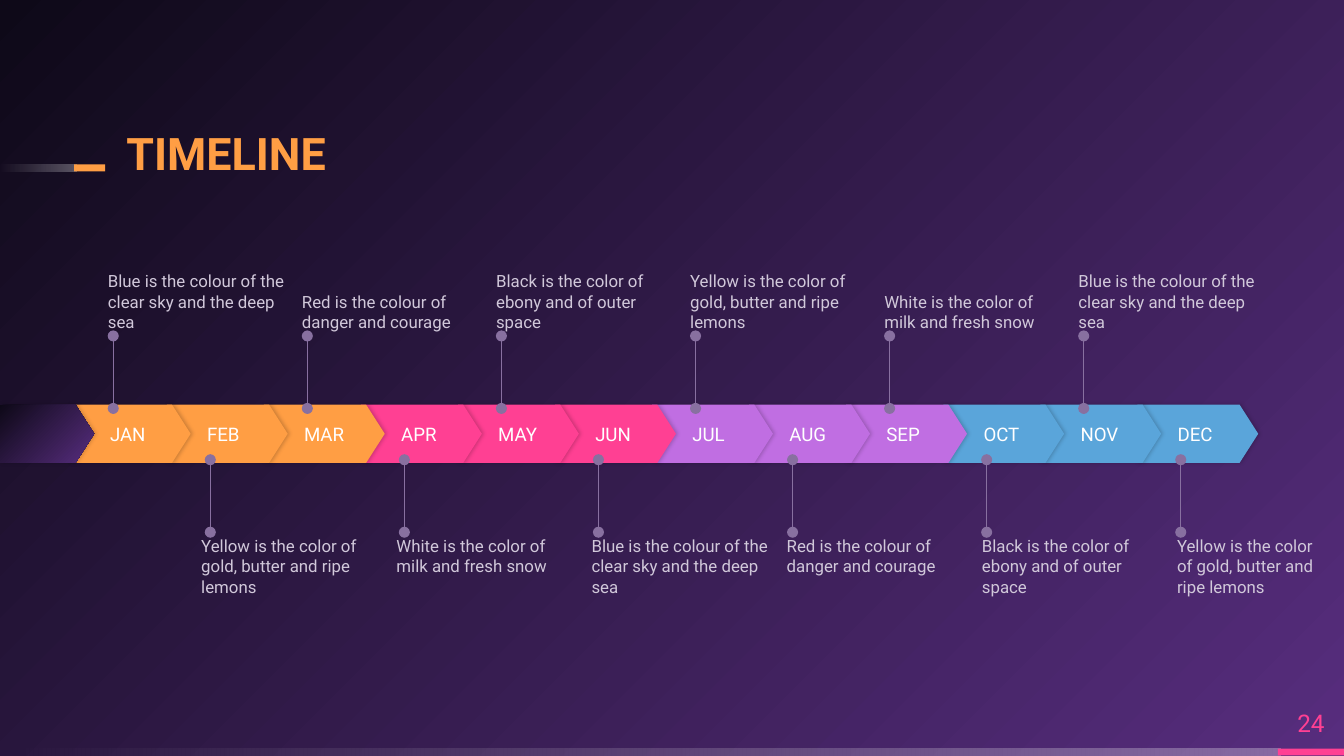
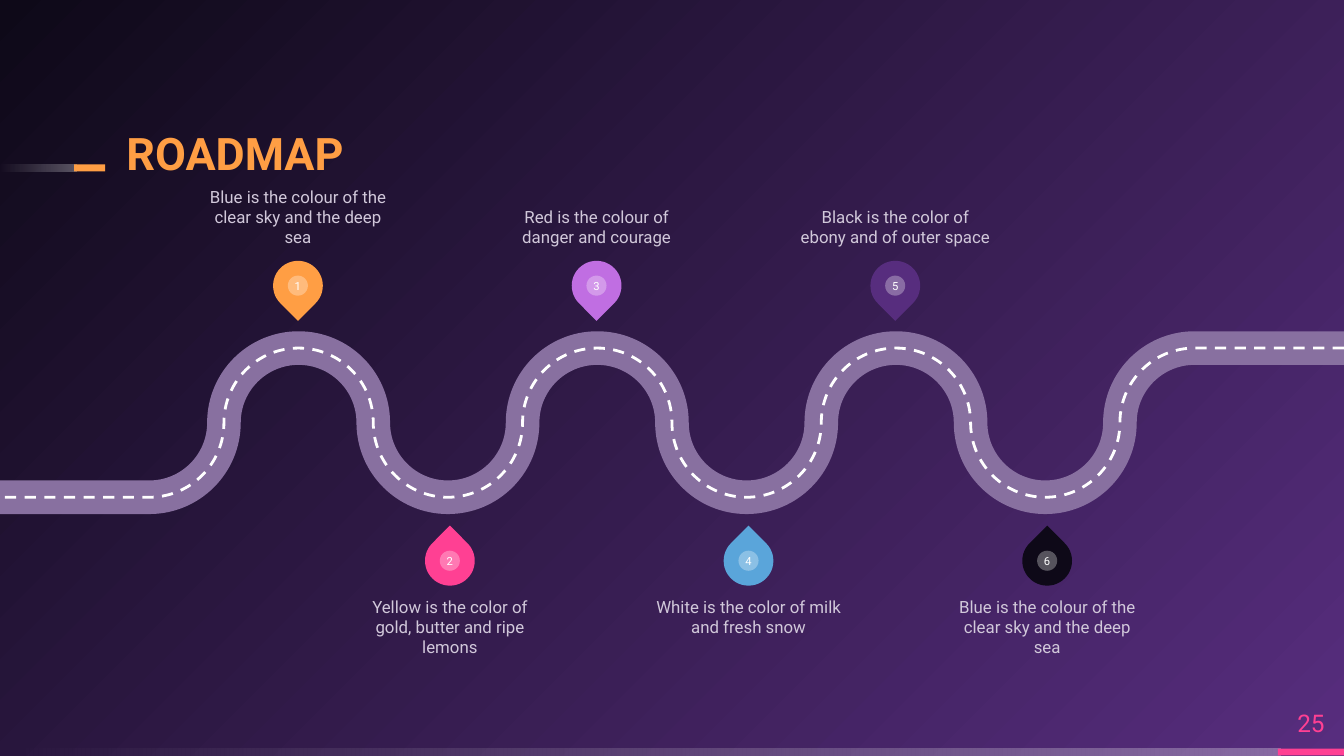
from math import cos, pi
from typing import NamedTuple

from lxml.etree import SubElement
from pptx import Presentation
from pptx.dml.color import RGBColor
from pptx.enum.dml import MSO_LINE
from pptx.enum.shapes import MSO_CONNECTOR, MSO_SHAPE
from pptx.enum.text import MSO_ANCHOR, MSO_AUTO_SIZE, PP_ALIGN
from pptx.oxml.ns import qn
from pptx.util import Cm, Pt

FONT = "Roboto"
PURPLE = RGBColor(0x57, 0x2D, 0x7E)
NIGHT = RGBColor(0x0E, 0x09, 0x18)
ORANGE = RGBColor(0xFF, 0x9E, 0x44)
PINK = RGBColor(0xFF, 0x40, 0x93)
VIOLET = RGBColor(0xC0, 0x6E, 0xE2)
BLUE = RGBColor(0x5A, 0xA5, 0xDA)
MAUVE = RGBColor(0x88, 0x70, 0xA0)
PALE = RGBColor(0xD1, 0xC8, 0xDA)
WHITE = RGBColor(0xFF, 0xFF, 0xFF)

SKY = "Blue is the colour of the clear sky and the deep sea"
GOLD = "Yellow is the color of gold, butter and ripe lemons"
DANGER = "Red is the colour of danger and courage"
MILK = "White is the color of milk and fresh snow"
EBONY = "Black is the color of ebony and of outer space"

MONTHS = "JAN FEB MAR APR MAY JUN JUL AUG SEP OCT NOV DEC".split()
MONTH_NOTES = [SKY, GOLD, DANGER, MILK, EBONY, SKY, GOLD, DANGER, MILK, EBONY, SKY, GOLD]
QUARTERS = [ORANGE, PINK, VIOLET, BLUE]
STOPS = [(ORANGE, SKY), (PINK, GOLD), (VIOLET, DANGER),
         (BLUE, MILK), (PURPLE, EBONY), (NIGHT, SKY)]


class Box(NamedTuple):
    """A rectangle measured in centimetres."""
    left: float
    top: float
    width: float
    height: float

    def emu(self):
        """Return the four lengths for python-pptx."""
        return [Cm(v) for v in self]


def set_alpha(sp, *percents):
    """Set the opacity of each colour of a shape's fill in turn."""
    for clr, percent in zip(sp._element.spPr.iter(qn("a:srgbClr")), percents):
        SubElement(clr, qn("a:alpha"), val=str(percent * 1000))


def fill_gradient(fill, start, end, angle=0):
    """Apply a two-colour linear gradient."""
    fill.gradient()
    fill.gradient_angle = angle
    for stop, color in zip(fill.gradient_stops, (start, end)):
        stop.color.rgb = color


def add_block(shapes, kind, box, color=None):
    """Add a preset shape without outline or shadow."""
    sp = shapes.add_shape(kind, *box.emu())
    sp.shadow.inherit = False
    sp.line.fill.background()
    if color is not None:
        sp.fill.solid()
        sp.fill.fore_color.rgb = color
    return sp


def write(sp, text, size, color, align=PP_ALIGN.LEFT, anchor=MSO_ANCHOR.MIDDLE, inset=0):
    """Put one formatted run into a shape and return its paragraph."""
    tf = sp.text_frame
    tf.word_wrap = True
    tf.auto_size = MSO_AUTO_SIZE.NONE
    tf.vertical_anchor = anchor
    tf.margin_left = Cm(inset)
    tf.margin_top = tf.margin_right = tf.margin_bottom = 0
    p = tf.paragraphs[0]
    p.alignment = align
    r = p.add_run()
    r.text = text
    r.font.name = FONT
    r.font.size = Pt(size)
    r.font.color.rgb = color
    return p


def add_note(slide, box, text, above, align=PP_ALIGN.LEFT):
    """Add a short note that hugs the side facing its marker."""
    anchor = MSO_ANCHOR.BOTTOM if above else MSO_ANCHOR.TOP
    write(slide.shapes.add_textbox(*box.emu()), text, 9, PALE, align, anchor)


def set_background(master):
    """Give every slide the radial night-to-purple background."""
    fill_gradient(master.background.fill, PURPLE, NIGHT)
    grad = master.element.find(".//" + qn("a:gradFill"))
    grad.remove(grad.find(qn("a:lin")))
    radial = SubElement(grad, qn("a:path"), path="circle")
    SubElement(radial, qn("a:fillToRect"), l="100000", t="100000")


def add_rule(slide, box, tip, color):
    """Draw a fading bar that ends in a solid tip."""
    fade = add_block(slide.shapes, MSO_SHAPE.RECTANGLE, box)
    fill_gradient(fade.fill, WHITE, WHITE, 180)
    set_alpha(fade, 30, 0)
    tip_box = box._replace(left=box.left + box.width - 0.05, width=tip)
    add_block(slide.shapes, MSO_SHAPE.RECTANGLE, tip_box, color)


def add_base(prs, title, number):
    """Add a titled slide with its rules and page number."""
    slide = prs.slides.add_slide(prs.slide_layouts[5])
    add_rule(slide, Box(0, 14.15, 24.2, 0.13), 1.25, PINK)
    add_rule(slide, Box(0, 3.11, 1.45, 0.13), 0.59, ORANGE)
    sp = slide.shapes.title
    sp.left, sp.top, sp.width, sp.height = Box(2.39, 2.31, 14.73, 1.09).emu()
    p = write(sp, title, 24, ORANGE, anchor=MSO_ANCHOR.BOTTOM)
    p.line_spacing = 0.9
    p.runs[0].font.bold = True
    page = slide.shapes.add_textbox(*Box(24.15, 13.18, 1.25, 0.97).emu())
    write(page, str(number), 13, PINK, PP_ALIGN.CENTER)
    return slide


def add_flag(slide, box, color=None):
    """Add a pointed band segment with a soft shadow."""
    sp = add_block(slide.shapes, MSO_SHAPE.PENTAGON, box, color)
    sp.adjustments[0] = 0.32
    effects = sp._element.spPr.find(qn("a:effectLst"))
    shadow = SubElement(effects, qn("a:outerShdw"), blurRad=str(Pt(2.2)), dist=str(Pt(0.8)),
                        dir="0", algn="l", rotWithShape="0")
    clr = SubElement(shadow, qn("a:srgbClr"), val="000000")
    SubElement(clr, qn("a:alpha"), val="20000")
    return sp


def add_pointer(slide, x, start, end):
    """Draw a vertical line with a dot at each end."""
    line = slide.shapes.add_connector(MSO_CONNECTOR.STRAIGHT, Cm(x), Cm(start), Cm(x), Cm(end))
    line.line.color.rgb = MAUVE
    line.line.width = Pt(0.75)
    ln = line.line._get_or_add_ln()
    for tag in ("a:headEnd", "a:tailEnd"):
        SubElement(ln, qn(tag), type="oval")
    SubElement(line._element.spPr, qn("a:effectLst"))


def add_months(slide, box):
    """Lay out the month band, last segment first so that each overlaps the next."""
    overlap = 0.45
    pitch = (box.width - overlap) / len(MONTHS)
    for i in reversed(range(len(MONTHS))):
        flag = Box(box.left + i * pitch, box.top, pitch + overlap, box.height)
        sp = add_flag(slide, flag, QUARTERS[i // 3])
        write(sp, MONTHS[i], 10, WHITE, inset=0.76)
    lead = add_flag(slide, Box(0, box.top, box.left + 0.46, box.height))
    fill_gradient(lead.fill, NIGHT, PURPLE, 315)
    for i, text in enumerate(MONTH_NOTES):
        x = box.left + 0.82 + i * pitch
        above = i % 2 == 0
        if above:
            add_pointer(slide, x, box.top + 0.07, box.top - 1.3)
            note = Box(x - 0.1, box.top - 2.85, 3.48, 1.47)
        else:
            add_pointer(slide, x, box.top + 2.41, box.top + 1.04)
            width = 2.87 if i == len(MONTHS) - 1 else 3.48
            note = Box(x - 0.18 + i * 0.01, box.top + 2.48, width, 1.47)
        add_note(slide, note, text, above)


def curve_turns(path):
    """Turn the inner segments of a path into quarter circles."""
    points = [(int(pt.get("x")), int(pt.get("y"))) for pt in path.iter(qn("a:pt"))]
    bend = 0.5523
    for k, segment in enumerate(path.findall(qn("a:lnTo"))[1:-1]):
        (x0, y0), (x1, y1) = points[k + 1:k + 3]
        dx, dy = bend * (x1 - x0), bend * (y1 - y0)
        if k % 2 == 0:
            controls = [(x0 + dx, y0), (x1, y1 - dy)]
        else:
            controls = [(x0, y0 + dy), (x1 - dx, y1)]
        curve = segment.makeelement(qn("a:cubicBezTo"))
        for x, y in controls + [(x1, y1)]:
            SubElement(curve, qn("a:pt"), x=str(round(x)), y=str(round(y)))
        path.replace(segment, curve)


def add_road(slide, box, color, width, dash=None):
    """Draw a winding line from the right edge of the box to the left."""
    step = box.width / 18
    radius = box.height / 2
    middle = box.top + radius
    turns = [(Cm(box.left + (16 - k) * step), Cm(middle - radius * cos(k * pi / 2)))
             for k in range(15)]
    builder = slide.shapes.build_freeform(Cm(box.left + box.width), Cm(box.top))
    builder.add_line_segments(turns + [(Cm(box.left), Cm(box.top + box.height))], close=False)
    sp = builder.convert_to_shape()
    curve_turns(sp._element.find(".//" + qn("a:path")))
    sp.shadow.inherit = False
    sp.fill.background()
    sp.line.color.rgb = color
    sp.line.width = Pt(width)
    if dash is not None:
        sp.line.dash_style = dash


def add_pin(slide, box, color, number, above):
    """Add a numbered map pin that points at the road."""
    shapes = slide.shapes.add_group_shape().shapes
    drop = add_block(shapes, MSO_SHAPE.TEAR, box, color)
    drop.adjustments[0] = 1
    drop.rotation = 135 if above else 315
    size = 0.38
    inset = (box.width - size) / 2
    badge = add_block(shapes, MSO_SHAPE.OVAL,
                      Box(box.left + inset, box.top + inset, size, size), WHITE)
    set_alpha(badge, 30)
    write(badge, str(number), 6, WHITE, PP_ALIGN.CENTER)


def add_stops(slide, box):
    """Place the pins and their notes along the road in the box."""
    pin, width, height = 0.94, 3.58, 1.47
    for i, (color, text) in enumerate(STOPS):
        above = i % 2 == 0
        center = box.left + 5.63 + i * box.width / 9 + (0 if above else 0.05)
        pin_top = box.top - 1.65 if above else box.top + box.height + 0.73
        note_top = box.top - 3.38 if above else box.top + box.height + 1.88
        add_pin(slide, Box(center - pin / 2, pin_top, pin, pin), color, i + 1, above)
        add_note(slide, Box(center - width / 2, note_top, width, height),
                 text, above, PP_ALIGN.CENTER)


def main():
    """Build the timeline and the roadmap."""
    prs = Presentation()
    prs.slide_width, prs.slide_height = Cm(25.4), Cm(14.29)
    set_background(prs.slide_master)

    add_months(add_base(prs, "TIMELINE", 24), Box(1.32, 7.65, 22.46, 1.1))

    roadmap = add_base(prs, "ROADMAP", 25)
    road = Box(0, 6.58, 25.4, 2.82)
    add_road(roadmap, road, MAUVE, 18)
    add_road(roadmap, road, WHITE, 1.5, MSO_LINE.DASH)
    add_stops(roadmap, road)

    prs.save("out.pptx")


if __name__ == "__main__":
    main()
